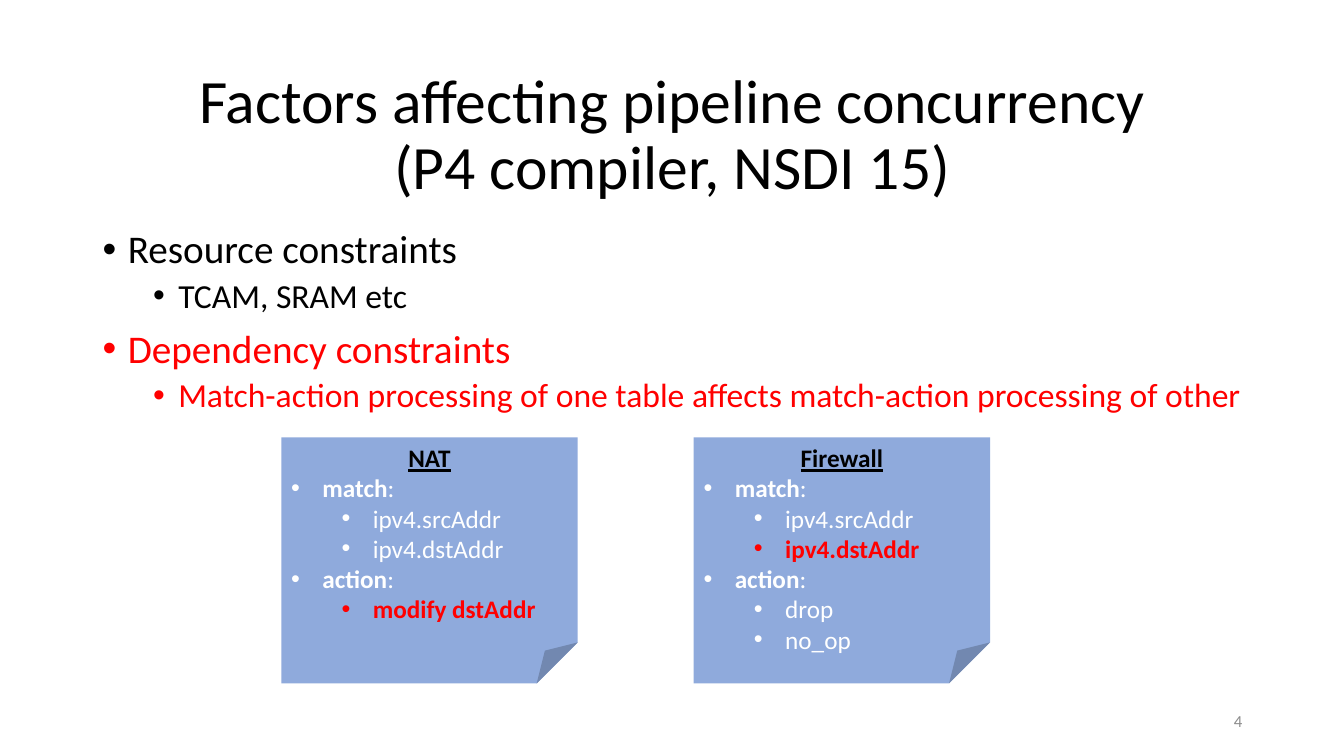
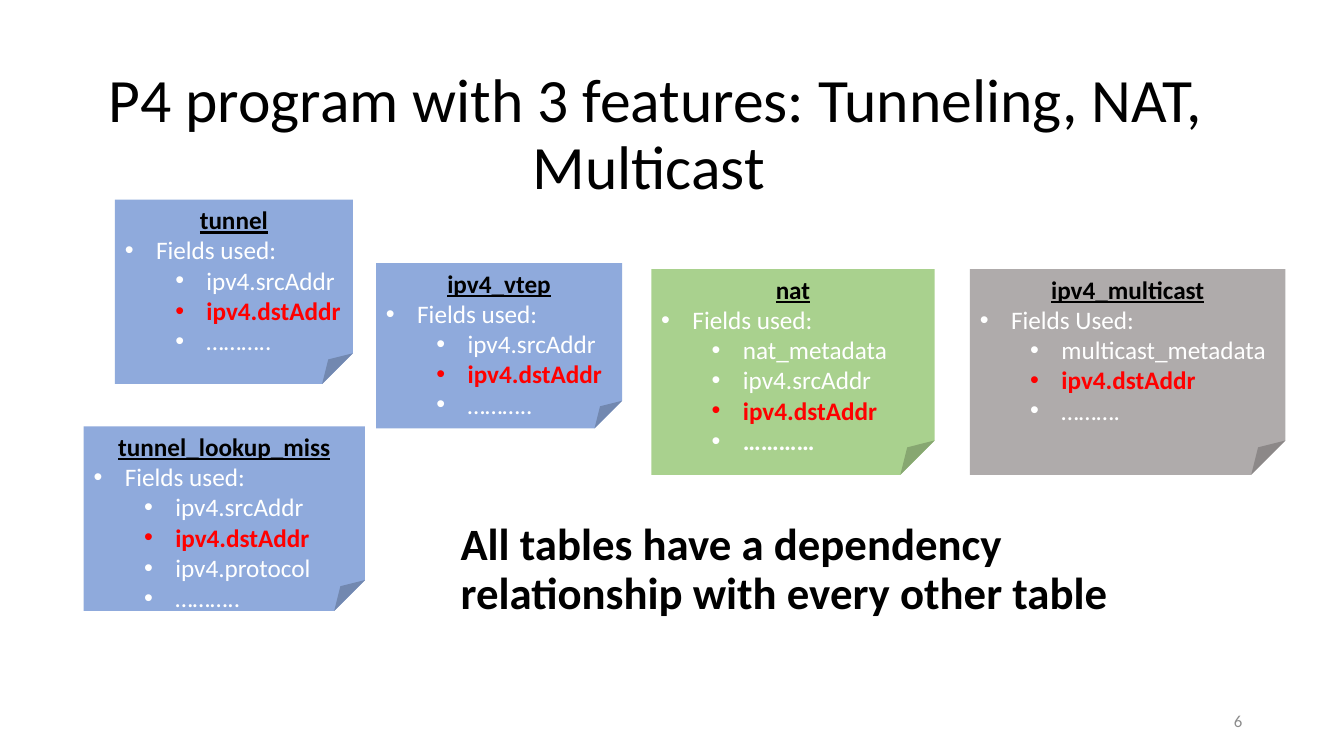
import pptx
import pptx.util
import pptx.dml.color
import pptx.enum.shapes
import pptx.enum.text
from dataclasses import dataclass
from lxml import etree
from pptx.oxml.ns import qn

Inches = pptx.util.Inches
Pt = pptx.util.Pt
RGBColor = pptx.dml.color.RGBColor
Align = pptx.enum.text.PP_ALIGN
Anchor = pptx.enum.text.MSO_ANCHOR

FONT = "Calibri"
BLACK = RGBColor(0x00, 0x00, 0x00)
WHITE = RGBColor(0xFF, 0xFF, 0xFF)
RED = RGBColor(0xFF, 0x00, 0x00)
GRAY = RGBColor(0x8C, 0x8C, 0x8C)
BLUE_CARD = RGBColor(0x8F, 0xAA, 0xDC)
GREEN_CARD = RGBColor(0xA9, 0xD1, 0x8E)
GRAY_CARD = RGBColor(0xAF, 0xAB, 0xAB)


@dataclass
class Item:
    text: str
    level: int = 1
    color: RGBColor = WHITE
    bold: bool = False


SOURCE = Item("ipv4.srcAddr")
TARGET = Item("ipv4.dstAddr")
SHARED_TARGET = Item("ipv4.dstAddr", color=RED, bold=True)


def style(para, size, color=BLACK, bold=False, align=Align.LEFT):
    para.alignment = align
    para.font.name = FONT
    para.font.size = Pt(size)
    para.font.color.rgb = color
    para.font.bold = bold


def add_bullet(para, level, hanging):
    para.level = level
    properties = para._p.get_or_add_pPr()
    properties.set("marL", str(Inches(0.5 * level + hanging)))
    properties.set("indent", str(-Inches(hanging)))
    etree.SubElement(properties, qn("a:buFont")).set("typeface", "Arial")
    etree.SubElement(properties, qn("a:buChar")).set("char", "•")


def next_para(frame, index):
    return frame.add_paragraph() if index else frame.paragraphs[0]


def add_text_box(page, box, anchor=Anchor.TOP):
    frame = page.shapes.add_textbox(*map(Inches, box)).text_frame
    frame.word_wrap = True
    frame.vertical_anchor = anchor
    return frame


def add_title(page, box, text):
    para = add_text_box(page, box, Anchor.MIDDLE).paragraphs[0]
    para.text = text
    para.line_spacing = 0.9
    style(para, 44, align=Align.CENTER)


def add_page_number(page, number):
    para = add_text_box(page, (9.42, 6.95, 3, 0.4), Anchor.MIDDLE).paragraphs[0]
    para.text = str(number)
    style(para, 12, GRAY, align=Align.RIGHT)


def add_outline(page, box, items):
    frame = add_text_box(page, box)
    for index, item in enumerate(items):
        para = next_para(frame, index)
        para.text = item.text
        add_bullet(para, item.level, 0.25)
        para.line_spacing = 0.9
        if index:
            para.space_before = Pt(5 if item.level else 10)
        style(para, 24 if item.level else 28, item.color)


def add_card(page, box, fill, name, items):
    card = page.shapes.add_shape(
        pptx.enum.shapes.MSO_SHAPE.FOLDED_CORNER, *map(Inches, box))
    card.shadow.inherit = False
    card.fill.solid()
    card.fill.fore_color.rgb = fill
    card.line.fill.background()
    frame = card.text_frame
    frame.word_wrap = True
    frame.vertical_anchor = Anchor.TOP
    heading = frame.paragraphs[0]
    heading.text = name
    style(heading, 18, bold=True, align=Align.CENTER)
    heading.font.underline = True
    for item in items:
        para = frame.add_paragraph()
        add_bullet(para, item.level, 0.31)
        style(para, 18, item.color, item.bold)
        para.add_run().text = item.text


def add_match_action_card(page, box, name, matches, actions):
    items = [Item("match", 0), *matches, Item("action", 0), *actions]
    add_card(page, box, BLUE_CARD, name, items)
    card = page.shapes[-1]
    for para in card.text_frame.paragraphs:
        if para.text in ("match", "action"):
            para.runs[0].font.bold = True
            para.add_run().text = ":"


def add_fields_card(page, box, fill, name, fields, label="Fields used:"):
    add_card(page, box, fill, name, [Item(label, 0), *fields])


def build_factors(page):
    add_title(page, (0.92, 0.21, 11.5, 2.29),
              "Factors affecting pipeline concurrency\v(P4 compiler, NSDI 15)")
    add_outline(page, (0.92, 2.23, 11.5, 2.11), [
        Item("Resource constraints", 0, BLACK),
        Item("TCAM, SRAM etc", 1, BLACK),
        Item("Dependency constraints", 0, RED),
        Item("Match-action processing of one table affects "
             "match-action processing of other", 1, RED),
    ])
    cards = [
        ("NAT", [SOURCE, TARGET], [Item("modify dstAddr", color=RED, bold=True)]),
        ("Firewall", [SOURCE, SHARED_TARGET], [Item("drop"), Item("no_op")]),
    ]
    for index, (name, matches, actions) in enumerate(cards):
        box = (2.79 + 4.09 * index, 4.34, 2.94, 2.44)
        add_match_action_card(page, box, name, matches, actions)
    add_page_number(page, 4)


def build_features(page):
    add_title(page, (0.22, 0.08, 12.57, 2.54),
              "P4 program with 3 features: Tunneling, NAT, Multicast ")
    more = Item("………..")
    add_fields_card(page, (1.14, 1.98, 2.36, 1.83), BLUE_CARD, "tunnel",
                    [SOURCE, SHARED_TARGET, more])
    add_fields_card(page, (3.73, 2.61, 2.44, 1.64), BLUE_CARD, "ipv4_vtep",
                    [SOURCE, SHARED_TARGET, more])
    add_fields_card(page, (6.46, 2.67, 2.81, 2.04), GREEN_CARD, "nat",
                    [Item("nat_metadata"), SOURCE, SHARED_TARGET,
                     Item("…………", bold=True)])
    add_fields_card(page, (9.62, 2.67, 3.13, 2.04), GRAY_CARD, "ipv4_multicast",
                    [Item("multicast_metadata"), SHARED_TARGET, Item("……….")],
                    label="Fields Used:")
    add_fields_card(page, (0.83, 4.23, 2.79, 1.83), BLUE_CARD, "tunnel_lookup_miss",
                    [SOURCE, SHARED_TARGET, Item("ipv4.protocol"), more])
    add_page_number(page, 6)
    add_conclusion(page, (3.97, 5.13, 7.45, 2.22),
                   "All tables have a dependency relationship with every other table")


def add_conclusion(page, box, text):
    para = add_text_box(page, box).paragraphs[0]
    para.text = text
    para._p.get_or_add_pPr().set("marL", str(Inches(0.5)))
    para.line_spacing = 0.9
    style(para, 32, bold=True)


def main():
    deck = pptx.Presentation()
    deck.slide_width = Inches(13.33)
    deck.slide_height = Inches(7.5)
    for build in (build_factors, build_features):
        build(deck.slides.add_slide(deck.slide_layouts[6]))
    deck.save("out.pptx")


if __name__ == "__main__":
    main()
